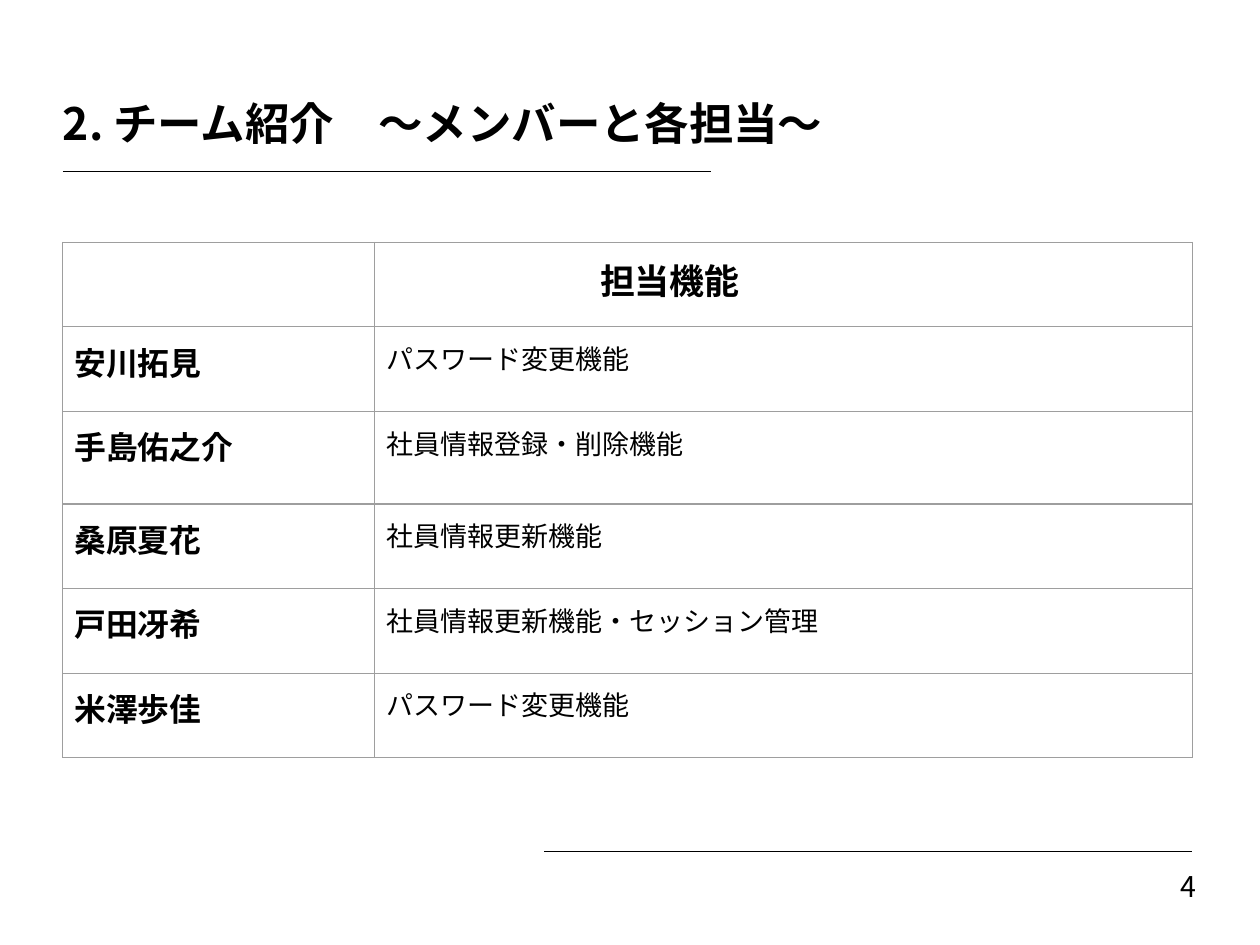
import pptx
import pptx.util
import pptx.dml.color
import pptx.enum.lang
import pptx.enum.shapes
import pptx.enum.text
import pptx.oxml

Inches = pptx.util.Inches
Pt = pptx.util.Pt
ALIGN = pptx.enum.text.PP_ALIGN
ANCHOR = pptx.enum.text.MSO_ANCHOR

TITLE = "2. チーム紹介　～メンバーと各担当～"
PAGE_NUMBER = "4"
MEMBERS = [
    ("", "担当機能"),
    ("安川拓見", "パスワード変更機能"),
    ("手島佑之介", "社員情報登録・削除機能"),
    ("桑原夏花", "社員情報更新機能"),
    ("戸田冴希", "社員情報更新機能・セッション管理"),
    ("米澤歩佳", "パスワード変更機能"),
]
COLUMN_WIDTHS = [2.73, 7.15]
ROW_HEIGHTS = [0.74, 0.74, 0.81, 0.74, 0.74, 0.74]
RULES = [(0.55, 1.5), (4.76, 7.45)]
RULE_LENGTH = 5.67
LEFT = 0.55
CELL_MARGIN = 0.1
HEADER_INDENT = 1.97
JAPANESE_FONT = "Noto Sans CJK JP"
BLACK = "000000"
BORDER = "9E9E9E"
NAMESPACE = 'xmlns:a="http://schemas.openxmlformats.org/drawingml/2006/main"'


def color(value):
    return pptx.dml.color.RGBColor.from_string(value)


def format_text(text_frame, size, bold, font_name):
    for paragraph in text_frame.paragraphs:
        for run in paragraph.runs:
            run.font.size = Pt(size)
            run.font.bold = bold
            run.font.name = font_name
            run.font.language_id = pptx.enum.lang.MSO_LANGUAGE_ID.JAPANESE
            run.font.color.rgb = color(BLACK)
            run.font._element.append(pptx.oxml.parse_xml(
                f'<a:ea {NAMESPACE} typeface="{JAPANESE_FONT}"/>'))


def fill_text_shape(shape, box, text, size, bold, alignment, anchor):
    shape.left, shape.top, shape.width, shape.height = map(Inches, box)
    text_frame = shape.text_frame
    text_frame.text = text
    text_frame.word_wrap = True
    text_frame.auto_size = pptx.enum.text.MSO_AUTO_SIZE.NONE
    text_frame.vertical_anchor = anchor
    text_frame.margin_left = text_frame.margin_right = 0
    text_frame.margin_top = text_frame.margin_bottom = 0
    text_frame.paragraphs[0].alignment = alignment
    text_frame.paragraphs[0].line_spacing = 1.25
    format_text(text_frame, size, bold, JAPANESE_FONT)


def add_rule(slide, left, top):
    rule = slide.shapes.add_connector(
        pptx.enum.shapes.MSO_CONNECTOR.STRAIGHT,
        Inches(left), Inches(top), Inches(left + RULE_LENGTH), Inches(top))
    rule.line.color.rgb = color(BLACK)
    rule.line.width = Pt(0.75)
    rule._element.spPr.append(pptx.oxml.parse_xml(f"<a:effectLst {NAMESPACE}/>"))


def format_cell(cell, text, size, bold, indent):
    cell.text = text
    cell.margin_left = Inches(indent)
    cell.margin_right = cell.margin_top = cell.margin_bottom = Inches(CELL_MARGIN)
    format_text(cell.text_frame, size, bold, "Arial")
    properties = cell._tc.get_or_add_tcPr()
    for side in "LRTB":
        properties.append(pptx.oxml.parse_xml(
            f'<a:ln{side} {NAMESPACE} w="{Pt(0.75)}"><a:solidFill>'
            f'<a:srgbClr val="{BORDER}"/></a:solidFill></a:ln{side}>'))
    cell.fill.background()


def add_member_table(slide):
    table = slide.shapes.add_table(
        len(MEMBERS), len(COLUMN_WIDTHS), Inches(LEFT), Inches(2.12),
        Inches(sum(COLUMN_WIDTHS)), Inches(sum(ROW_HEIGHTS))).table
    table.first_row = table.horz_banding = False
    for column, width in zip(table.columns, COLUMN_WIDTHS):
        column.width = Inches(width)
    for row, height, texts in zip(table.rows, ROW_HEIGHTS, MEMBERS):
        row.height = Inches(height)
        is_header = texts is MEMBERS[0]
        name_cell, duty_cell = row.cells
        format_cell(name_cell, texts[0], 20, True, CELL_MARGIN)
        format_cell(duty_cell, texts[1], 22 if is_header else 17, is_header,
                    HEADER_INDENT if is_header else CELL_MARGIN)


presentation = pptx.Presentation()
presentation.slide_width = pptx.util.Cm(28)
presentation.slide_height = pptx.util.Cm(21)
slide = presentation.slides.add_slide(presentation.slide_layouts[5])

fill_text_shape(slide.shapes.title, (LEFT, 0.33, 9.92, 1.38), TITLE,
                28, True, ALIGN.LEFT, ANCHOR.MIDDLE)
number_box = slide.shapes.add_textbox(0, 0, 0, 0)
fill_text_shape(number_box, (7.9, 7.53, 2.57, 0.57), PAGE_NUMBER,
                18, False, ALIGN.RIGHT, ANCHOR.TOP)
for left, top in RULES:
    add_rule(slide, left, top)
add_member_table(slide)

presentation.save("out.pptx")
